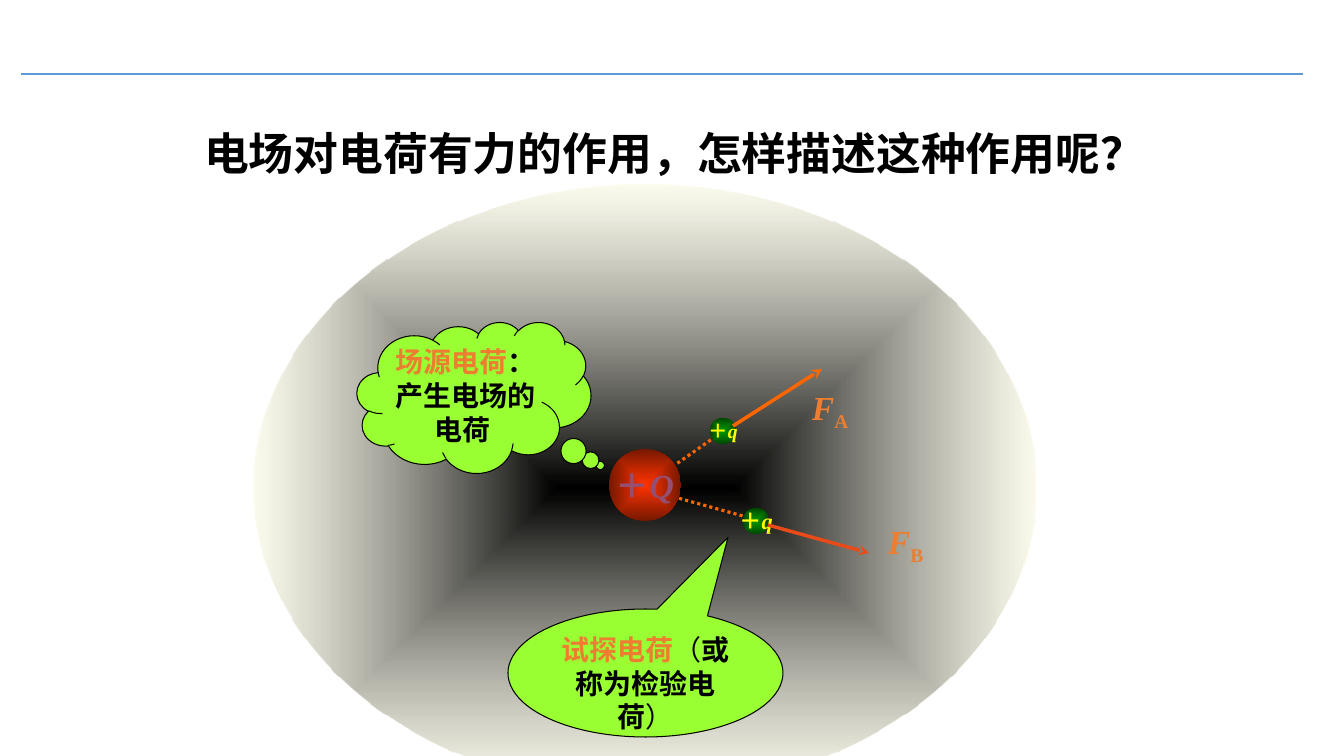
import pptx
import pptx.util
import pptx.oxml
import pptx.oxml.ns
import pptx.dml.color
import pptx.enum.dml
import pptx.enum.shapes
import pptx.enum.text

PX = 914400 / 100.8
SHAPE = pptx.enum.shapes.MSO_SHAPE
ANCHOR = pptx.enum.text.MSO_ANCHOR
ALIGN = pptx.enum.text.PP_ALIGN
FIT = pptx.enum.text.MSO_AUTO_SIZE.SHAPE_TO_FIT_TEXT


class Theme:
    serif, casual = "Times New Roman", "Comic Neue"
    ink, rule, accent = "000000", "5B9BD5", "ED7D31"
    callout, sign, source_sign = "99FF33", "FFFF00", "954F72"
    dotted, force_a, force_b = "FF6600", "FF6600", "E84A18"
    field = ("000000", "FBFAE5", 62)
    probe = ("009900", "004700", 100)
    source = ("FF3300", "761800", 100)
    title_size, label_size, callout_size = 32, 24, 20
    probe_a_size, probe_b_size = 14, 16


def px(*values):
    return [pptx.util.Emu(round(v * PX)) for v in values]


def rgb(value):
    return pptx.dml.color.RGBColor.from_string(value)


def add_run(p, text, size, color, font=Theme.serif, bold=True, italic=None, baseline=None):
    r = p.add_run()
    r.text = text
    r.font.name, r.font.size = font, pptx.util.Pt(size)
    r.font.bold, r.font.italic = bold, italic
    r.font.color.rgb = rgb(color)
    if baseline:
        r._r.get_or_add_rPr().set("baseline", str(baseline * 1000))


def add_line(s, x1, y1, x2, y2, color, width, dash=None, arrow=False):
    line = s.shapes.add_connector(pptx.enum.shapes.MSO_CONNECTOR.STRAIGHT, *px(x1, y1, x2, y2))
    line.line.color.rgb = rgb(color)
    line.line.width = pptx.util.Pt(width)
    if dash:
        line.line.dash_style = dash
    if arrow:
        tail = pptx.oxml.ns.qn("a:tailEnd")
        line.line._get_or_add_ln().append(line._element.makeelement(tail, {"type": "stealth"}))
    spPr = line._element.spPr
    spPr.append(spPr.makeelement(pptx.oxml.ns.qn("a:effectLst"), {}))


def add_ball(s, x, y, w, h, gradient):
    """Ellipse shaded from its centre outwards."""
    inner, outer, alpha = gradient
    sp = s.shapes.add_shape(SHAPE.OVAL, *px(x, y, w, h))
    sp.shadow.inherit = False
    sp.line.fill.background()
    sp.fill.background()
    spPr = sp._element.spPr
    spPr.replace(spPr.find(pptx.oxml.ns.qn("a:noFill")), pptx.oxml.parse_xml(
        f'<a:gradFill {pptx.oxml.ns.nsdecls("a")} rotWithShape="1"><a:gsLst>'
        f'<a:gs pos="0"><a:srgbClr val="{inner}"/></a:gs>'
        f'<a:gs pos="100000"><a:srgbClr val="{outer}"><a:alpha val="{alpha * 1000}"/></a:srgbClr></a:gs>'
        '</a:gsLst><a:path path="shape">'
        '<a:fillToRect l="50000" t="50000" r="50000" b="50000"/></a:path></a:gradFill>'))
    return sp


def add_charge(s, x, y, d, gradient, letter, size, color):
    tf = add_ball(s, x, y, d, d, gradient).text_frame
    tf.word_wrap = False
    tf.vertical_anchor = ANCHOR.MIDDLE
    p = tf.paragraphs[0]
    p.alignment = ALIGN.CENTER
    add_run(p, "＋", size, color)
    add_run(p, letter, size, color, italic=True)


def add_force_label(s, x, y, point):
    tf = s.shapes.add_textbox(*px(x, y, 58, 50)).text_frame
    tf.word_wrap = False
    tf.auto_size = FIT
    p = tf.paragraphs[0]
    add_run(p, "F", Theme.label_size, Theme.accent, italic=True)
    add_run(p, point, Theme.label_size, Theme.accent, italic=False, baseline=-25)


def add_callout(s, kind, x, y, w, h, tip, runs):
    """runs holds (text, colour, bold) triples."""
    sp = s.shapes.add_shape(kind, *px(x, y, w, h))
    sp.shadow.inherit = False
    sp.adjustments[0], sp.adjustments[1] = tip
    sp.fill.solid()
    sp.fill.fore_color.rgb = rgb(Theme.callout)
    sp.line.color.rgb = rgb(Theme.ink)
    sp.line.width = pptx.util.Pt(0.75)
    tf = sp.text_frame
    tf.word_wrap = True
    tf.vertical_anchor = ANCHOR.TOP
    p = tf.paragraphs[0]
    p.alignment = ALIGN.CENTER
    for text, color, bold in runs:
        add_run(p, text, Theme.callout_size, color, Theme.casual, bold)
    return tf


def draw_heading(s, x, y, w, h):
    # Rule above the title
    add_line(s, x, y, x + w, y, Theme.rule, 1.5)
    # Title
    title = s.shapes.title
    title.left, title.top, title.width, title.height = px(x + 173, y + 47, 981, h - 47)
    tf = title.text_frame
    tf.word_wrap = True
    tf.vertical_anchor = ANCHOR.TOP
    tf.auto_size = FIT
    p = tf.paragraphs[0]
    p.alignment = ALIGN.LEFT
    add_run(p, "电场对电荷有力的作用，怎样描述这种作用呢？", Theme.title_size, Theme.ink)


def draw_field(s, x, y, w, h):
    dots = pptx.enum.dml.MSO_LINE.ROUND_DOT
    add_ball(s, x, y, w, h, Theme.field)

    # Test charge at A
    add_line(s, x + 408, y + 289, x + 461, y + 252, Theme.dotted, 2.25, dots)
    add_charge(s, x + 456, y + 233, 26, Theme.probe, "q", Theme.probe_a_size, Theme.sign)
    add_line(s, x + 479, y + 241, x + 568, y + 184, Theme.force_a, 2.5, arrow=True)
    add_force_label(s, x + 548, y + 197, "A")

    # Test charge at B
    add_charge(s, x + 489, y + 323, 26, Theme.probe, "q", Theme.probe_b_size, Theme.sign)
    add_line(s, x + 514, y + 340, x + 615, y + 368, Theme.force_b, 2.5, arrow=True)
    add_force_label(s, x + 624, y + 331, "B")
    add_line(s, x + 413, y + 310, x + 489, y + 331, Theme.dotted, 2.25, dots)

    # Explanations
    tf = add_callout(s, SHAPE.CLOUD_CALLOUT, x + 103, y + 137, 234, 151, (0.54, 0.45), [
        ("场源电荷", Theme.accent, True), ("：产生电场的电荷 ", Theme.ink, True)])
    tf.margin_left = tf.margin_top = tf.margin_right = tf.margin_bottom = 0
    add_callout(s, SHAPE.OVAL_CALLOUT, x + 254, y + 424, 275, 128, (0.3, -1.06), [
        ("试探电荷", Theme.accent, True), ("（", Theme.ink, False),
        ("或称为检验电荷", Theme.ink, True), ("）", Theme.ink, False)])

    # Source charge
    add_charge(s, x + 355, y + 264, 72, Theme.source, "Q", Theme.label_size, Theme.source_sign)


def main():
    prs = pptx.Presentation()
    prs.slide_width, prs.slide_height = px(1344, 756)
    s = prs.slides.add_slide(prs.slide_layouts[5])
    draw_heading(s, 21, 74, 1282, 112)
    draw_field(s, 254, 185, 781, 605)
    prs.save("out.pptx")


if __name__ == "__main__":
    main()
